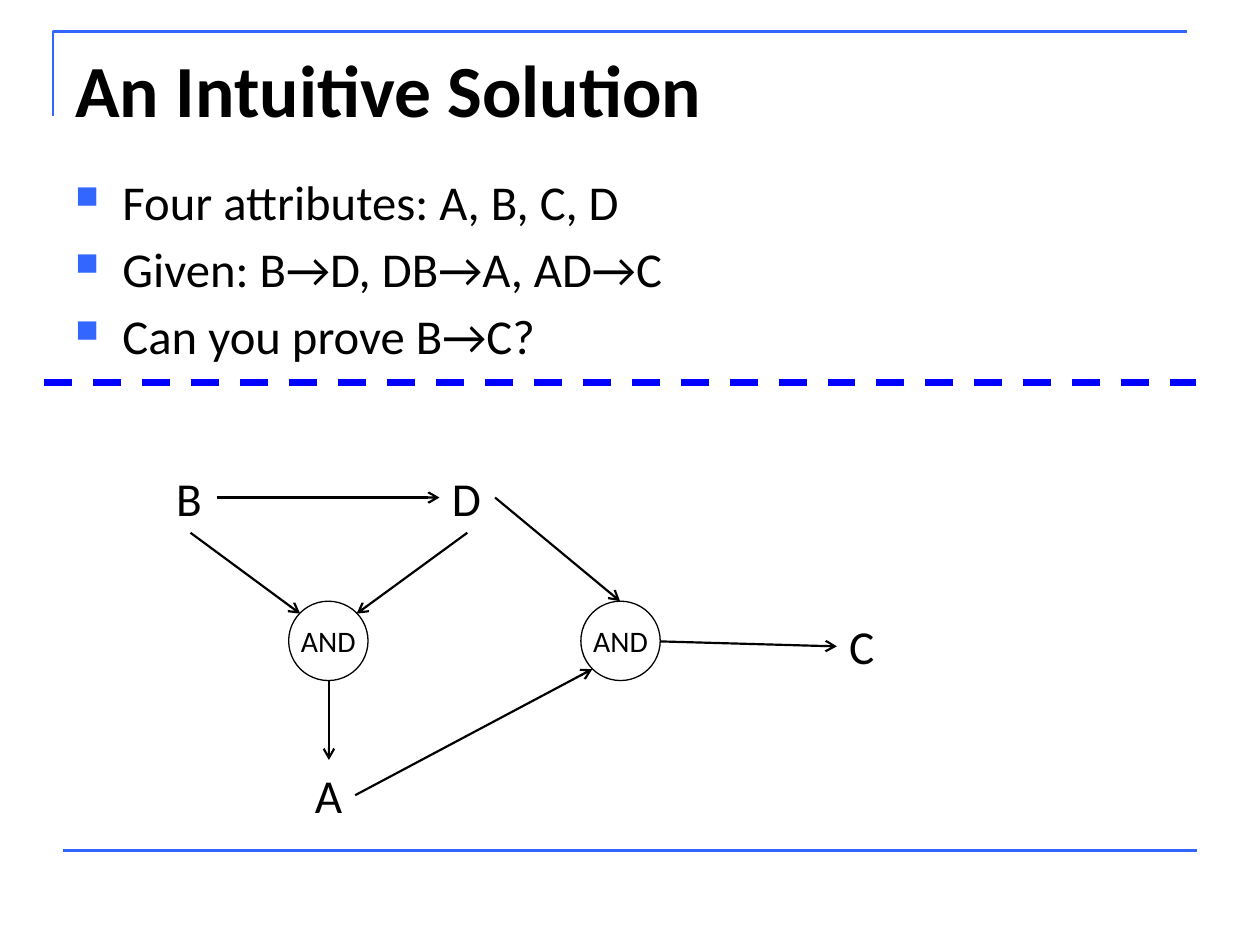
"""Build a slide that derives B→C from functional dependencies with an AND graph."""
from lxml import etree
from pptx import Presentation
from pptx.dml.color import RGBColor
from pptx.enum.dml import MSO_LINE
from pptx.enum.shapes import MSO_CONNECTOR, MSO_SHAPE
from pptx.enum.text import MSO_ANCHOR, MSO_AUTO_SIZE, PP_ALIGN
from pptx.oxml.ns import qn
from pptx.util import Cm, Pt

STRAIGHT = MSO_CONNECTOR.STRAIGHT
ELLIPSE = MSO_SHAPE.OVAL
DASH = MSO_LINE.DASH
MIDDLE = MSO_ANCHOR.MIDDLE
CENTER = PP_ALIGN.CENTER
GROW = MSO_AUTO_SIZE.SHAPE_TO_FIT_TEXT

FONT = "Calibri"
COLORS = {"text": "000000", "frame": "3366FF", "divider": "0000FF"}
GATE_SIZE = 1.6
LABEL_HEIGHT = 1.42

FACTS = ["Four attributes: A, B, C, D", "Given: B→D, DB→A, AD→C", "Can you prove B→C?"]
ATTRIBUTES = [
    ("A", 6.1, 15.32, 1.07),
    ("B", 3.3, 9.34, 1.07),
    ("C", 16.87, 12.32, 1.02),
    ("D", 8.86, 9.34, 1.12),
]
GATES = [(11.71, 12.12), (5.82, 12.12)]
DERIVATIONS = [
    ((4.37, 10.03), (8.86, 10.03)),
    ((3.84, 10.74), (6.05, 12.37)),
    ((9.42, 10.74), (7.19, 12.37)),
    ((6.63, 13.72), (6.63, 15.32)),
    ((9.98, 10.03), (12.5, 12.12)),
    ((7.16, 16.03), (11.94, 13.49)),
    ((13.31, 12.93), (16.87, 13.03)),
]


def color(name):
    """Return the palette colour of that name."""
    return RGBColor.from_string(COLORS[name])


def style_font(paragraph, size, bold=False):
    """Set the common typeface on a paragraph."""
    font = paragraph.font
    font.name, font.size, font.bold = FONT, Pt(size), bold
    font.color.rgb = color("text")


def add_text(slide, text, box, size, bold=False, wrap=True):
    """Add a text box with one styled paragraph per line and return its frame."""
    frame = slide.shapes.add_textbox(*map(Cm, box)).text_frame
    frame.word_wrap = wrap
    frame.text = text
    for paragraph in frame.paragraphs:
        style_font(paragraph, size, bold)
    return frame


def add_bullet(paragraph):
    """Give a paragraph a hanging square bullet."""
    properties = paragraph._p.get_or_add_pPr()
    properties.set("marL", str(Cm(0.95)))
    properties.set("indent", str(-Cm(0.95)))
    bullet_color = etree.SubElement(properties, qn("a:buClr"))
    etree.SubElement(bullet_color, qn("a:srgbClr"), val=COLORS["frame"])
    etree.SubElement(properties, qn("a:buSzPct"), val="65000")
    etree.SubElement(properties, qn("a:buChar"), char="■")


def add_facts(slide):
    """Add the bulleted problem statement."""
    frame = slide.shapes.add_textbox(Cm(1.27), Cm(3.33), Cm(22.86), Cm(3.81)).text_frame
    frame.word_wrap = True
    frame.text = "\n".join(FACTS)
    for index, paragraph in enumerate(frame.paragraphs):
        add_bullet(paragraph)
        style_font(paragraph, 27.8)
        paragraph.space_before = Pt(5 if index else 0)


def add_line(slide, start, end, color_name, width):
    """Add a straight line without shadow."""
    connector = slide.shapes.add_connector(STRAIGHT, *map(Cm, start + end))
    connector.line.color.rgb = color(color_name)
    connector.line.width = Pt(width)
    etree.SubElement(connector._element.spPr, qn("a:effectLst"))
    return connector


def add_arrow(slide, start, end):
    """Add a line with an open arrowhead at its end."""
    arrow = add_line(slide, start, end, "text", 1.25)
    etree.SubElement(arrow.line._get_or_add_ln(), qn("a:tailEnd"), type="arrow")


def add_corner(slide):
    """Add the angled frame line around the title."""
    builder = slide.shapes.build_freeform(Cm(1.07), Cm(2.34))
    builder.add_line_segments([(Cm(1.07), Cm(0.64)), (Cm(23.93), Cm(0.64))], close=False)
    corner = builder.convert_to_shape()
    corner.shadow.inherit = False
    corner.fill.background()
    corner.line.color.rgb = color("frame")
    corner.line.width = Pt(1.5)


def add_gate(slide, left, top):
    """Add a circular AND node."""
    gate = slide.shapes.add_shape(ELLIPSE, Cm(left), Cm(top), Cm(GATE_SIZE), Cm(GATE_SIZE))
    gate.shadow.inherit = False
    gate.fill.background()
    gate.line.color.rgb = color("text")
    gate.line.width = Pt(0.75)
    frame = gate.text_frame
    frame.margin_left = frame.margin_right = frame.margin_top = frame.margin_bottom = 0
    frame.vertical_anchor = MIDDLE
    frame.text = "AND"
    frame.paragraphs[0].alignment = CENTER
    style_font(frame.paragraphs[0], 17)


def main():
    """Build and save the slide."""
    deck = Presentation()
    deck.slide_width, deck.slide_height = Cm(25.4), Cm(19.05)
    slide = deck.slides.add_slide(deck.slide_layouts[6])

    add_corner(slide)
    add_line(slide, (1.27, 17.15), (24.13, 17.15), "frame", 1.5)
    add_text(slide, "An Intuitive Solution", (1.27, 0.76, 22.86, 3.18), 42, bold=True)
    add_facts(slide)
    divider = add_line(slide, (0.89, 7.72), (24.1, 7.72), "divider", 4)
    divider.line.dash_style = DASH

    for name, left, top, width in ATTRIBUTES:
        label = add_text(slide, name, (left, top, width, LABEL_HEIGHT), 27, wrap=False)
        label.auto_size = GROW
    for left, top in GATES:
        add_gate(slide, left, top)
    for start, end in DERIVATIONS:
        add_arrow(slide, start, end)

    deck.save("out.pptx")


if __name__ == "__main__":
    main()
